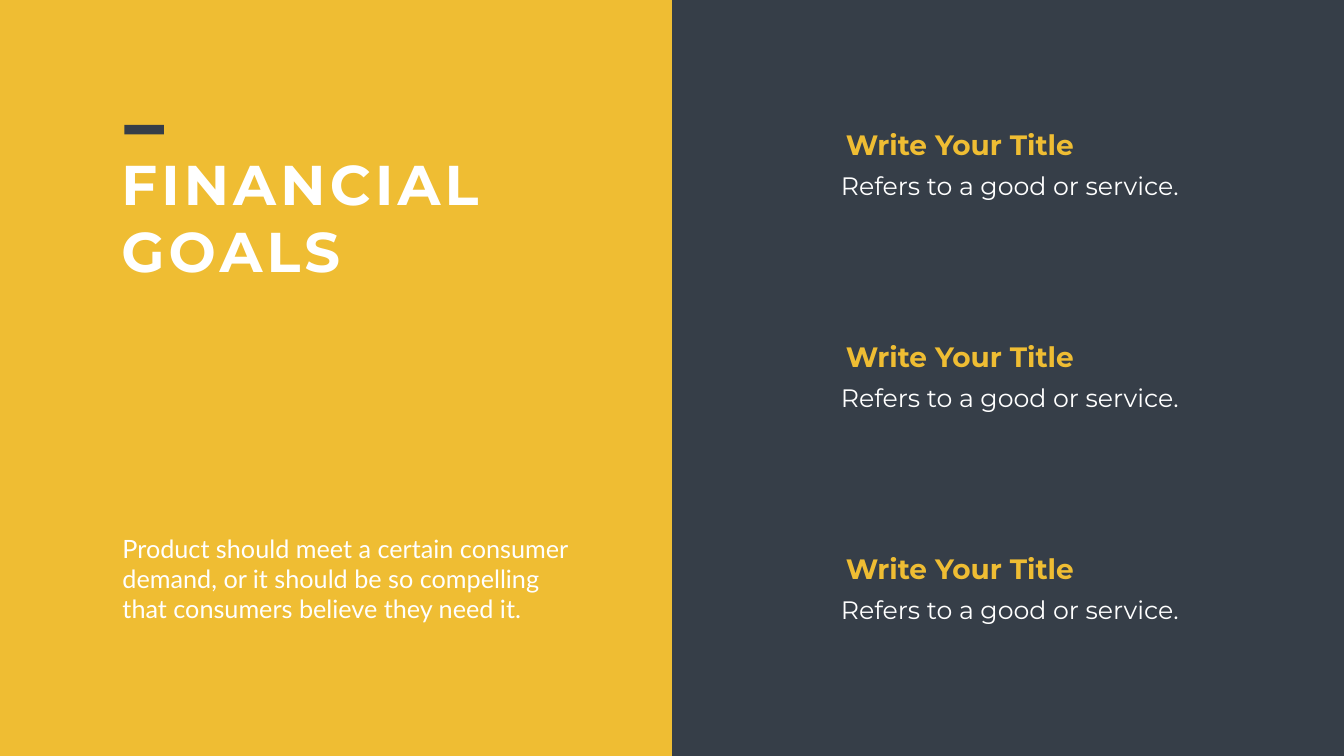
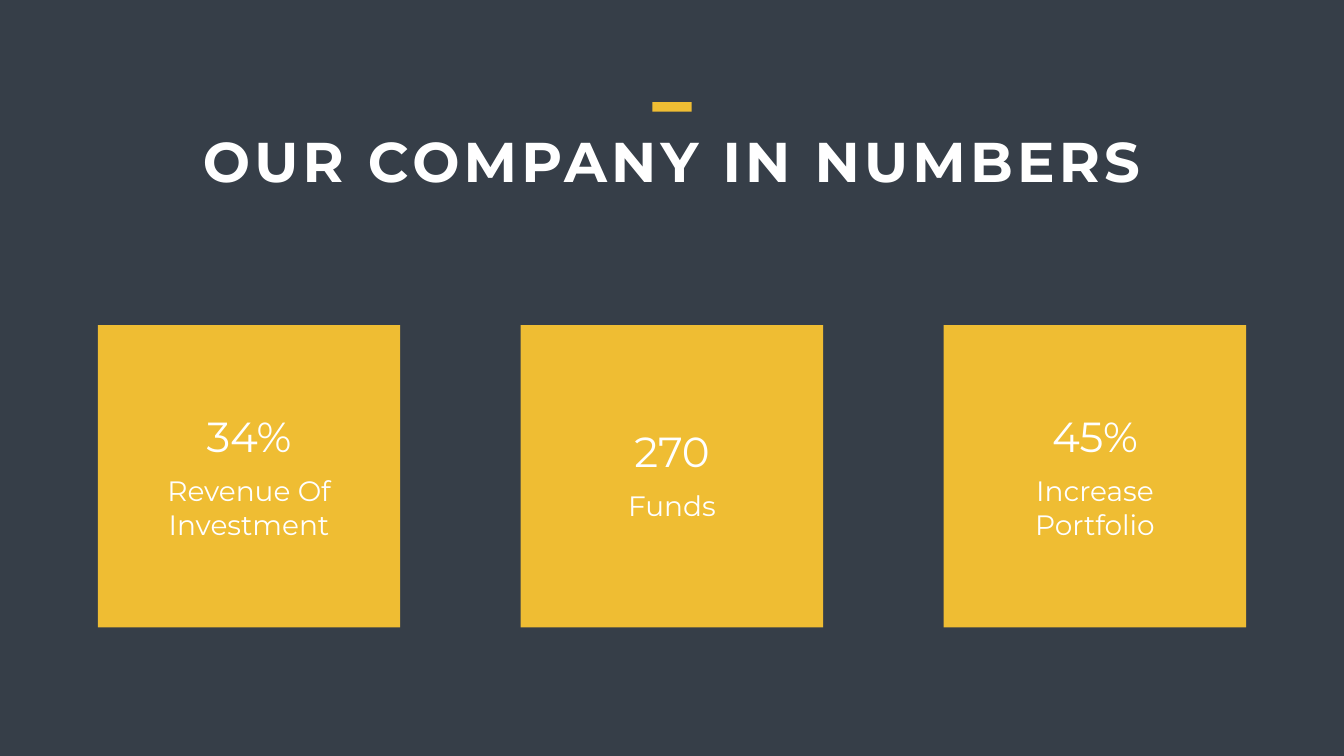
from dataclasses import dataclass

from pptx import Presentation
from pptx.dml.color import RGBColor
from pptx.enum.shapes import MSO_SHAPE
from pptx.enum.text import MSO_AUTO_SIZE, PP_ALIGN
from pptx.util import Pt


@dataclass(frozen=True)
class Theme:
    gold: str = "EFBD33"
    slate: str = "363E48"
    white: str = "FFFFFF"
    font: str = "Montserrat"
    serif: str = "Lato"
    title: int = 80
    number: int = 60
    label: int = 40
    body: int = 36
    track: int = 6


THEME = Theme()
WIDE, HIGH = 1919.52, 1080
HALF = WIDE / 2
SLIM, ROOMY = (7.2, 3.6), (17.28, 8.64)
DASH = 56.16, 13.68

GOALS = [("Write Your Title", "Refers to a good or service.")] * 3
GOAL_TOP, GOAL_STEP = 178.8, 303

CARD, CARD_TOP = 432, 464.4
CARD_LEFT, CARD_STEP = 139.68, 604.08
# number, label, label width, label height, drop that centres shorter text
FACTS = [
    ("34%", "Revenue Of Investment", 343.4, 116.6, 0),
    ("270", "Funds", 255.6, 62.6, 21.6),
    ("45%", "Increase Portfolio", 284.4, 116.6, 0),
]


def add_block(slide, left, top, width, height, color):
    block = slide.shapes.add_shape(
        MSO_SHAPE.RECTANGLE, Pt(left), Pt(top), Pt(width), Pt(height))
    block.shadow.inherit = False
    block.fill.solid()
    block.fill.fore_color.rgb = RGBColor.from_string(color)
    block.line.fill.background()


def add_text(slide, text, left, top, width, height, *, size, color=THEME.white,
             font=THEME.font, bold=False, align=PP_ALIGN.LEFT, track=0,
             inset=SLIM):
    box = slide.shapes.add_textbox(Pt(left), Pt(top), Pt(width), Pt(height))
    frame = box.text_frame
    frame.word_wrap = True
    frame.auto_size = MSO_AUTO_SIZE.SHAPE_TO_FIT_TEXT
    frame.margin_left = frame.margin_right = Pt(inset[0])
    frame.margin_top = frame.margin_bottom = Pt(inset[1])
    para = frame.paragraphs[0]
    para.alignment = align
    run = para.add_run()
    run.text = text
    run.font.name = font
    run.font.size = Pt(size)
    run.font.bold = bold
    run.font.color.rgb = RGBColor.from_string(color)
    if track:
        run.font._element.set("spc", str(track * 100))


def add_title(slide, text, left, top, width, height, dash_left, dash_color,
              align=PP_ALIGN.LEFT):
    """Add a spaced-out title with a short dash above it."""
    add_text(slide, text, left, top, width, height, size=THEME.title,
             bold=True, align=align, track=THEME.track)
    add_block(slide, dash_left, top - 31.3, *DASH, dash_color)


def add_goal(slide, top, head, detail):
    add_text(slide, detail, 1183.7, top + 55.9, 517, 61.2,
             size=THEME.body, inset=ROOMY)
    add_text(slide, head, 1201, top, 408.2, 55.4,
             size=THEME.label, color=THEME.gold, bold=True)


def add_fact(slide, left, number, label, width, height, drop):
    mid = left + CARD / 2
    top = CARD_TOP + 118.8 + drop
    add_block(slide, left, CARD_TOP, CARD, CARD, THEME.gold)
    add_text(slide, number, mid - 71.3, top, 142.6, 80,
             size=THEME.number, align=PP_ALIGN.CENTER)
    add_text(slide, label, mid - width / 2, top + 90, width, height,
             size=THEME.label, align=PP_ALIGN.CENTER)


def draw_goals(slide):
    add_block(slide, HALF, 0, HALF, HIGH, THEME.slate)
    add_block(slide, 0, 0, HALF, HIGH, THEME.gold)
    add_text(slide,
             "Product should meet a certain consumer demand, or it should be "
             "so compelling that consumers believe they need it.",
             157.7, 753.1, 693.4, 148.3,
             size=THEME.body, font=THEME.serif, inset=ROOMY)
    add_title(slide, "FINANCIAL GOALS", 166.3, 209.7, 633.6, 200.9,
              177.8, THEME.slate)
    for row, goal in enumerate(GOALS):
        add_goal(slide, GOAL_TOP + row * GOAL_STEP, *goal)


def draw_facts(slide):
    add_block(slide, 0, 0, WIDE, HIGH, THEME.slate)
    for col, fact in enumerate(FACTS):
        add_fact(slide, CARD_LEFT + col * CARD_STEP, *fact)
    width = 1372.3
    add_title(slide, "OUR COMPANY IN NUMBERS", (WIDE - width) / 2, 177.1,
              width, 104.4, (WIDE - DASH[0]) / 2, THEME.gold,
              PP_ALIGN.CENTER)


def main():
    deck = Presentation()
    deck.slide_width, deck.slide_height = Pt(WIDE), Pt(HIGH)
    blank = deck.slide_layouts[6]
    for draw in (draw_goals, draw_facts):
        draw(deck.slides.add_slide(blank))
    deck.save("out.pptx")


if __name__ == "__main__":
    main()
